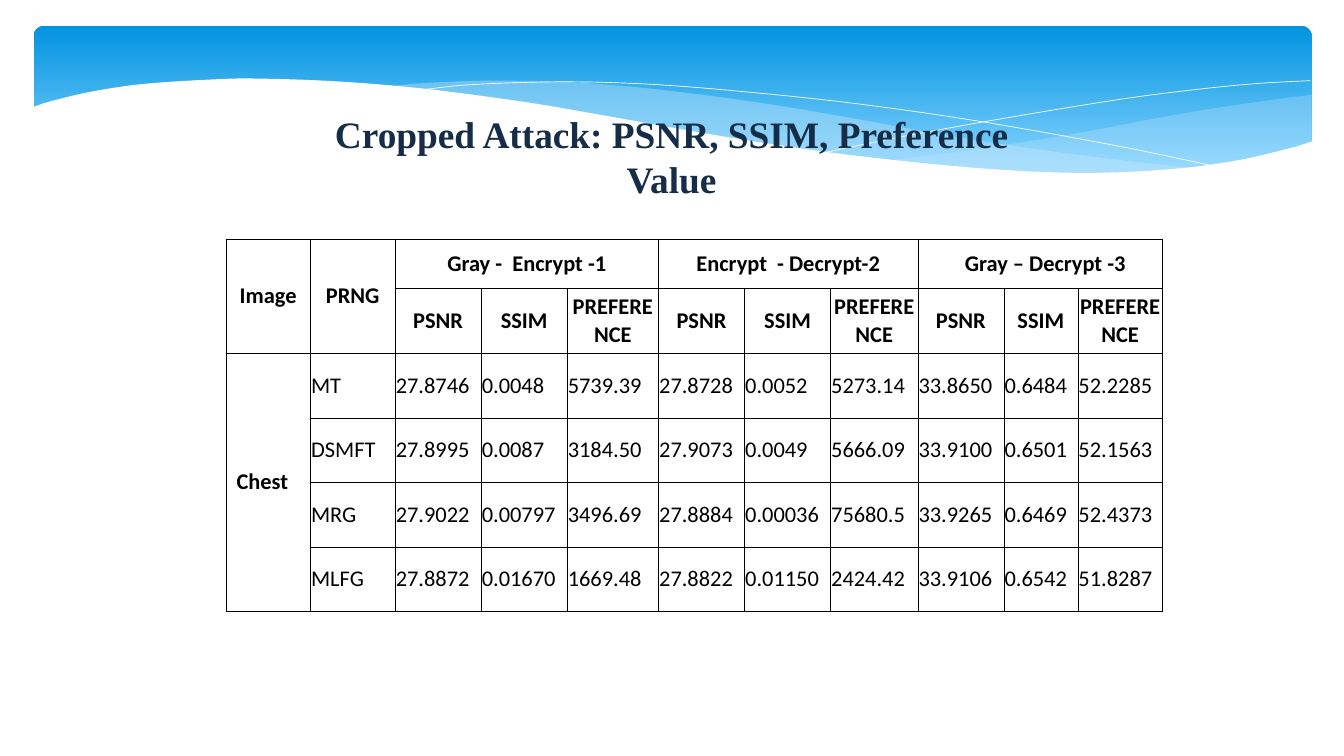
from lxml.etree import SubElement
from pptx import Presentation
from pptx.dml.color import RGBColor
from pptx.enum.shapes import MSO_SHAPE as Preset
from pptx.enum.text import MSO_ANCHOR as Anchor, MSO_AUTO_SIZE as AutoSize, PP_ALIGN as Align
from pptx.oxml.ns import qn
from pptx.util import Inches, Pt

WIDTH, HEIGHT = Inches(20), Inches(11.25)
COLORS = {
    "banner_top": "0293E0", "banner_bottom": "83D3FE", "swell": "C6E7FC",
    "paper": "FFFFFF", "title": "152D47", "ink": "000000",
}

RIGHT_SWELL_TOP = [
    (97.6, 12.53), (94.85, 13.16), (92.05, 13.87), (89.15, 14.67), (86.05, 15.64),
    (80.5, 17.51), (75.35, 19.02), (70.6, 20.27), (66.15, 21.24)]
RIGHT_SWELL_BOTTOM = [
    (66.15, 21.24), (70.5, 22.04), (75.7, 22.76), (80.3, 22.93), (84.45, 22.84),
    (88.05, 22.31), (91.3, 21.51), (94.25, 20.53), (97.6, 18.84)]
CENTER_SWELL_TOP = [
    (89.3, 22.31), (83.7, 21.24), (77.5, 19.82), (70.6, 17.96), (62.9, 15.47),
    (56.9, 13.69), (51.45, 12.36), (46.45, 11.38), (42, 10.84), (36.15, 10.67),
    (31.3, 11.02), (28.65, 11.47)]
CENTER_SWELL_BOTTOM = [
    (28.65, 11.47), (34.25, 12.44), (40.45, 14.04), (44.95, 15.47), (52.95, 17.96),
    (60.15, 20), (66.55, 21.42), (72.25, 22.4), (77.3, 22.93), (81.75, 23.02),
    (85.75, 22.93), (89.3, 22.31)]
FALLING_LINE = [
    (30.95, 12), (34.35, 11.29), (38.7, 10.93), (43.25, 10.84), (48.9, 11.2),
    (55.65, 12.18), (63.6, 13.69), (72.7, 16), (83.1, 19.29), (90.75, 22.13)]
RISING_LINE = [
    (61.35, 20.18), (67.25, 18.04), (74.75, 15.64), (83.6, 13.07), (89.55, 11.73),
    (93.75, 11.02), (97.5, 10.67)]
PAPER_EDGE = [
    (2.3, 14.31), (3.55, 13.51), (6.65, 12.18), (10.65, 11.11), (16.05, 10.49),
    (19.35, 10.4), (25, 10.76), (31.55, 11.73), (39.1, 13.51), (44.7, 15.2),
    (52.9, 17.78), (60.3, 19.82), (66.85, 21.24), (72.65, 22.22), (77.75, 22.76),
    (82.3, 22.84), (87.55, 22.31), (92, 21.24), (95.9, 19.64), (97.7, 18.67)]
PAPER_CORNERS = [(97.7, 29.78), (2.3, 29.78)]

COLUMN_SHARES = [6.3, 6.3, 6.4, 6.4, 6.8, 6.4, 6.4, 6.5, 6.4, 5.5, 6.3]
ROW_SHARES = [6.49, 8.62] + [8.53] * 4
COMPARISONS = ["Gray -  Encrypt -1", "Encrypt  - Decrypt-2", "Gray – Decrypt -3"]
METRICS = ["PSNR", "SSIM", "PREFERENCE"]
RESULTS = [
    "MT 27.8746 0.0048 5739.39 27.8728 0.0052 5273.14 33.8650 0.6484 52.2285",
    "DSMFT 27.8995 0.0087 3184.50 27.9073 0.0049 5666.09 33.9100 0.6501 52.1563",
    "MRG 27.9022 0.00797 3496.69 27.8884 0.00036 75680.5 33.9265 0.6469 52.4373",
    "MLFG 27.8872 0.01670 1669.48 27.8822 0.01150 2424.42 33.9106 0.6542 51.8287",
]


def across(share):
    return round(WIDTH * share / 100)


def down(share):
    return round(HEIGHT * share / 100)


def rgb(name):
    return RGBColor.from_string(COLORS[name])


def assign(target, **values):
    for name, value in values.items():
        setattr(target, name, value)


def smooth(points, steps=5):
    padded = [points[0], *points, points[-1]]
    curve = [points[0]]
    for a, b, c, d in zip(padded, padded[1:], padded[2:], padded[3:]):
        for step in range(1, steps + 1):
            t = step / steps
            curve.append(tuple(
                (2 * q + (r - p) * t + (2 * p - 5 * q + 4 * r - s) * t ** 2
                 + (3 * q - p - 3 * r + s) * t ** 3) / 2
                for p, q, r, s in zip(a, b, c, d)))
    return curve


def add_outline(slide, points, close):
    corners = [(across(x), down(y)) for x, y in points]
    builder = slide.shapes.build_freeform(*corners[0])
    builder.add_line_segments(corners[1:], close=close)
    outline = builder.convert_to_shape()
    outline.shadow.inherit = False
    return outline


def add_wave(slide, points, color, opacity=100):
    wave = add_outline(slide, points, True)
    wave.fill.solid()
    wave.fill.fore_color.rgb = rgb(color)
    wave.line.fill.background()
    if opacity < 100:
        tint = wave.fill._xPr.find(".//" + qn("a:srgbClr"))
        SubElement(tint, qn("a:alpha"), val=str(opacity * 1000))


def add_hairline(slide, points):
    hairline = add_outline(slide, smooth(points), False)
    hairline.fill.background()
    hairline.line.color.rgb = rgb("paper")
    hairline.line.width = Pt(0)


def add_banner(slide):
    banner = slide.shapes.add_shape(
        Preset.ROUNDED_RECTANGLE, across(2.5), down(3.38), across(95.1), down(20.8))
    banner.adjustments[0] = 0.07
    banner.shadow.inherit = False
    banner.line.fill.background()
    banner.fill.gradient()
    banner.fill.gradient_angle = 270
    stops = zip(banner.fill.gradient_stops, (0, 0.9), ("banner_top", "banner_bottom"))
    for stop, position, color in stops:
        stop.position = position
        stop.color.rgb = rgb(color)


def write(frame, text, align, color, **font):
    paragraph = frame.paragraphs[0]
    paragraph.text = text
    paragraph.alignment = align
    assign(paragraph.font, **font)
    paragraph.font.color.rgb = rgb(color)


def place_title(slide, text):
    title = slide.shapes.title
    slide.shapes._spTree.append(title._element)
    assign(title, left=across(21.4), top=down(14.67), width=across(57.15), height=down(9.42))
    assign(title.text_frame, margin_left=0, margin_right=0, margin_top=0, margin_bottom=0,
           word_wrap=True, auto_size=AutoSize.NONE, vertical_anchor=Anchor.TOP)
    write(title.text_frame, text, Align.CENTER, "title",
          name="Times New Roman", size=Pt(40), bold=True)


def format_cell(cell):
    assign(cell, margin_left=Inches(0.01), margin_right=Inches(0.01),
           margin_top=Inches(0.07), margin_bottom=Inches(0.07),
           vertical_anchor=Anchor.MIDDLE)
    for side in ("a:lnL", "a:lnR", "a:lnT", "a:lnB"):
        border = SubElement(cell._tc.get_or_add_tcPr(), qn(side), w=str(Pt(0.5)))
        SubElement(SubElement(border, qn("a:solidFill")), qn("a:srgbClr"), val=COLORS["ink"])
    cell.fill.background()


def add_results(slide):
    table = slide.shapes.add_table(
        len(ROW_SHARES), len(COLUMN_SHARES), across(16.8), down(31.64),
        across(sum(COLUMN_SHARES)), down(sum(ROW_SHARES))).table
    assign(table, first_row=False, horz_banding=False)
    for column, share in zip(table.columns, COLUMN_SHARES):
        column.width = across(share)
    for row, share in zip(table.rows, ROW_SHARES):
        row.height = down(share)
    for cell in table.iter_cells():
        format_cell(cell)

    def fill_cell(row, column, text, align=Align.CENTER, bold=True, last=None):
        cell = table.cell(row, column)
        if last:
            cell.merge(table.cell(*last))
        write(cell.text_frame, text, align, "ink", name="Calibri", size=Pt(24), bold=bold)
        return cell

    fill_cell(0, 0, "Image", last=(1, 0))
    fill_cell(0, 1, "PRNG", last=(1, 1))
    for index, comparison in enumerate(COMPARISONS):
        first = 2 + index * len(METRICS)
        heading = fill_cell(0, first, comparison, last=(0, first + len(METRICS) - 1))
        for offset, metric in enumerate(METRICS):
            fill_cell(1, first + offset, metric)
    heading.margin_left = Inches(0.16)
    chest = fill_cell(2, 0, "Chest", Align.JUSTIFY, last=(5, 0))
    chest.margin_left = Inches(0.16)
    for row, result in enumerate(RESULTS, 2):
        for column, value in enumerate(result.split(), 1):
            fill_cell(row, column, value, Align.LEFT, False)


def main():
    deck = Presentation()
    assign(deck, slide_width=WIDTH, slide_height=HEIGHT)
    slide = deck.slides.add_slide(deck.slide_layouts[5])
    add_banner(slide)
    add_wave(slide, smooth(RIGHT_SWELL_TOP) + smooth(RIGHT_SWELL_BOTTOM), "swell", 29)
    add_wave(slide, smooth(CENTER_SWELL_TOP) + smooth(CENTER_SWELL_BOTTOM), "swell", 40)
    add_hairline(slide, FALLING_LINE)
    add_hairline(slide, RISING_LINE)
    add_wave(slide, smooth(PAPER_EDGE) + PAPER_CORNERS, "paper")
    place_title(slide, "Cropped Attack: PSNR, SSIM, Preference Value")
    add_results(slide)
    deck.save("out.pptx")


if __name__ == "__main__":
    main()
